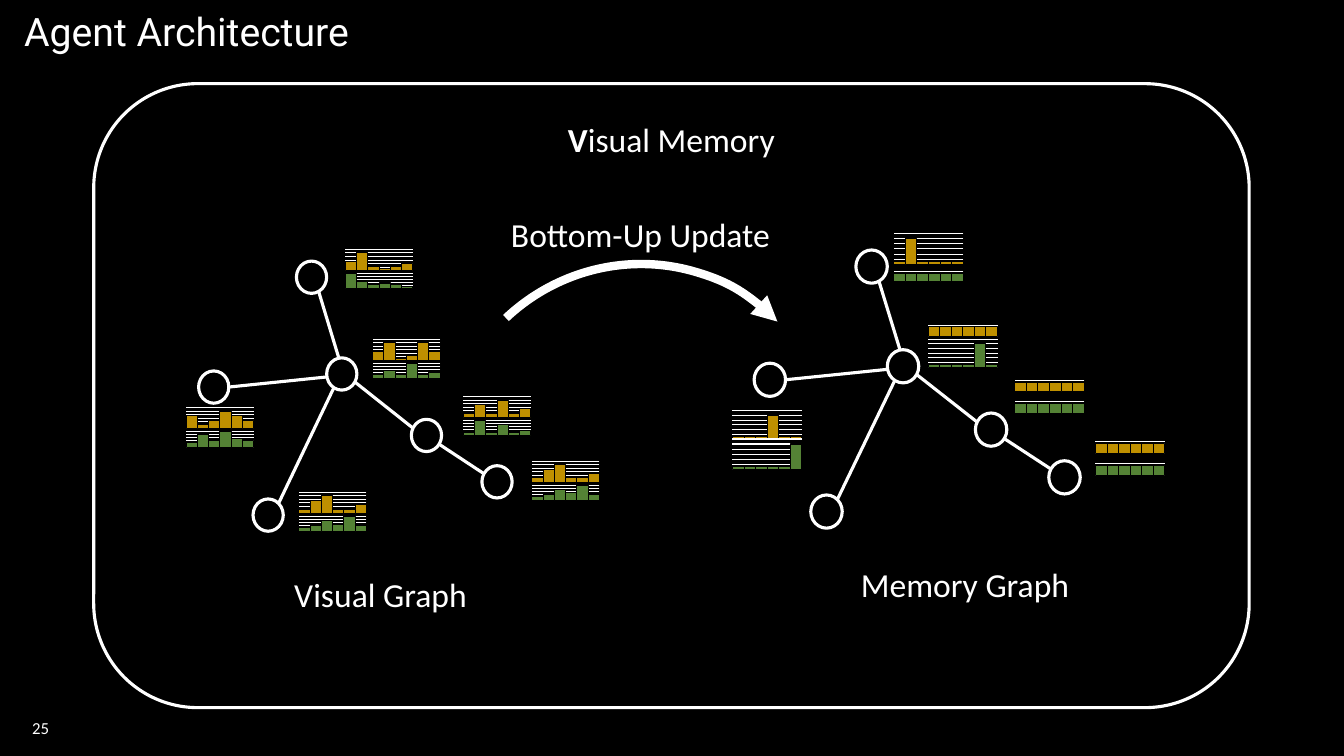
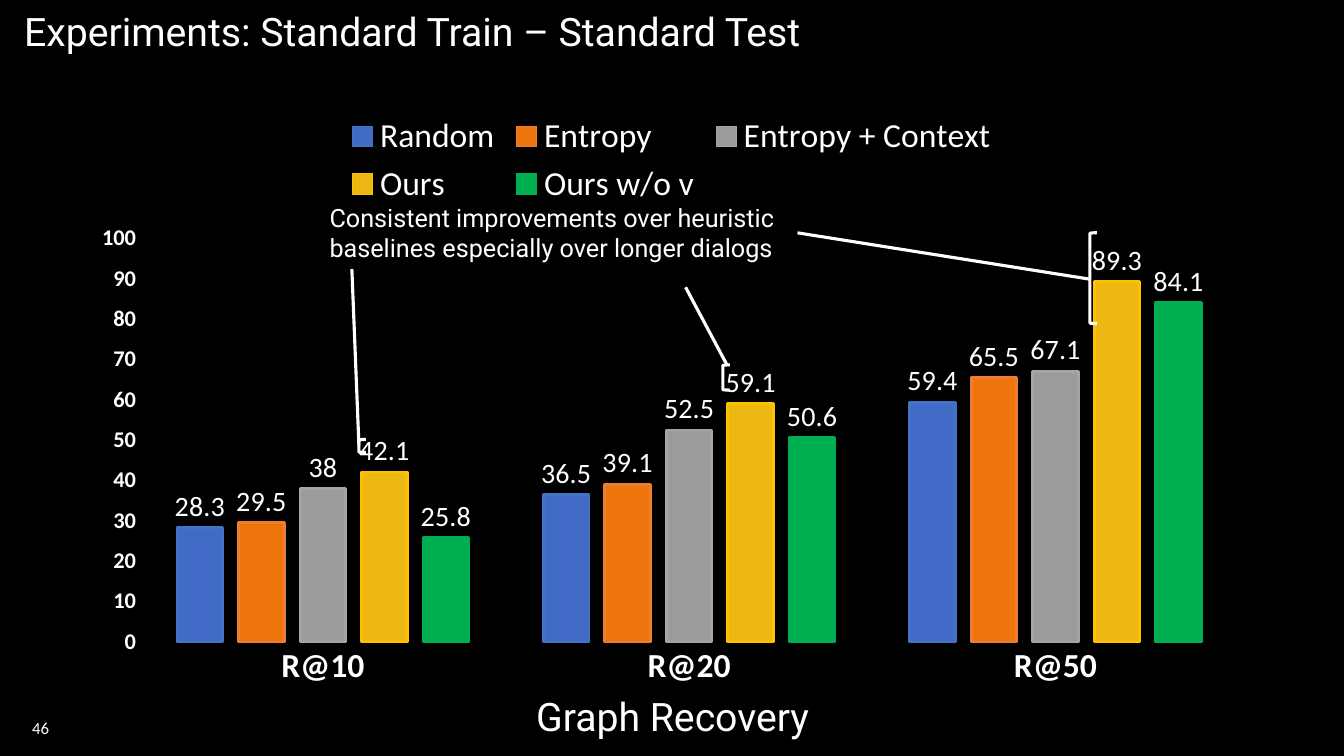
import lxml.etree
import pptx
import pptx.chart.data
import pptx.dml.color
import pptx.enum.chart
import pptx.enum.shapes
import pptx.enum.text
import pptx.oxml.ns
import pptx.util

Inches = pptx.util.Inches
Pt = pptx.util.Pt
qn = pptx.oxml.ns.qn
SHAPES = pptx.enum.shapes.MSO_SHAPE
ALIGN = pptx.enum.text.PP_ALIGN
ANCHOR = pptx.enum.text.MSO_ANCHOR

COLORS = {
    "black": "000000", "white": "FFFFFF", "gold": "BF9000", "green": "548235",
}
BODY_FONT = "Calibri"
TITLE_FONT = "Roboto"

NODES = [(0.97, 0), (2.11, 1.57), (0, 1.09), (2.81, 2.03), (0.54, 2.36), (1.27, 0.96)]
EDGES = [
    (1.19, 0.3, 1.39, 0.96), (1.27, 1.15, 0.3, 1.25), (1.34, 1.26, 0.79, 2.41),
    (1.55, 1.2, 2.13, 1.66), (2.83, 2.11, 2.39, 1.82),
]

FULL = (100,) * 6


def peak(position):
    return tuple(100 if index == position else 12 for index in range(1, 7))


VISUAL_BARS = [
    (3.42, 2.47, (50, 100, 25, 12, 25, 38), (100, 50, 25, 38, 25, 12)),
    (3.69, 3.36, (50, 100, 12, 25, 100, 50), (25, 50, 25, 100, 25, 38)),
    (4.59, 3.93, (25, 75, 25, 100, 25, 50), (25, 100, 25, 75, 25, 38)),
    (5.27, 4.57, (25, 75, 100, 25, 25, 50), (25, 38, 75, 50, 100, 38)),
    (2.96, 4.88, (25, 75, 100, 25, 25, 50), (25, 38, 75, 50, 100, 38)),
    (1.84, 4.04, (75, 25, 50, 100, 75, 50), (29, 86, 43, 100, 57, 43)),
]
MEMORY_BARS = [
    (10.06, (3.77, 0.12, FULL), (3.98, 0.13, FULL)),
    (10.86, (4.38, 0.12, FULL), (4.59, 0.13, FULL)),
    (7.26, (4.07, 0.29, peak(4)), (4.35, 0.31, peak(6))),
    (8.86, (2.31, 0.32, peak(2)), (2.69, 0.11, FULL)),
    (9.2, (3.22, 0.12, FULL), (3.36, 0.29, peak(5))),
]

RECALL = [
    ("Random", (28.3, 36.5, 59.4), "426AC7", "4472C4"),
    ("Entropy", (29.5, 39.1, 65.5), "EE750E", "ED7D31"),
    ("Entropy + Context", (38, 52.5, 67.1), "9B9B9B", "A5A5A5"),
    ("Ours", (42.1, 59.1, 89.3), "ECB811", "FFC000"),
    ("Ours w/o v", (25.8, 50.6, 84.1), "00B050", "00B050"),
]


def rgb(value):
    return pptx.dml.color.RGBColor.from_string(COLORS.get(value, value))


def inches(*lengths):
    return [Inches(length) for length in lengths]


def style_font(font, size, name=BODY_FONT, bold=None):
    font.size = Pt(size)
    font.name = name
    font.bold = bold
    font.color.rgb = rgb("white")


def set_line(line, width, color="white"):
    line.color.rgb = rgb(color)
    line.width = Pt(width)


def fill_text(frame, text, size, name=BODY_FONT, align=ALIGN.LEFT, anchor=ANCHOR.TOP, spacing=None):
    frame.word_wrap = True
    frame.auto_size = pptx.enum.text.MSO_AUTO_SIZE.NONE
    frame.vertical_anchor = anchor
    para = frame.paragraphs[0]
    para.text = text
    para.alignment = align
    para.line_spacing = spacing
    style_font(para.font, size, name)


def add_text(page, place, text, size, **options):
    box = page.shapes.add_textbox(*inches(*place))
    fill_text(box.text_frame, text, size, **options)


def add_page(deck, title, number):
    page = deck.slides.add_slide(deck.slide_layouts.get_by_name("Title Only"))
    heading = page.shapes.title
    heading.left, heading.top, heading.width, heading.height = inches(0.14, 0.22, 13.33, 0.24)
    fill_text(heading.text_frame, title, 28, TITLE_FONT, anchor=ANCHOR.MIDDLE, spacing=0.9)
    add_text(page, (0.22, 7.02, 3, 0.4), number, 12, anchor=ANCHOR.MIDDLE)
    return page


def add_outline(page, kind, place, width=2.25):
    shape = page.shapes.add_shape(kind, *inches(*place))
    shape.shadow.inherit = False
    shape.fill.background()
    set_line(shape.line, width)
    return shape


def add_line(page, ends):
    line = page.shapes.add_connector(pptx.enum.shapes.MSO_CONNECTOR.STRAIGHT, *inches(*ends))
    set_line(line.line, 2.25)
    lxml.etree.SubElement(line.element.spPr, qn("a:effectLst"))


def place_plot(chart, left, top, width, height):
    area = chart.element.chart.plotArea
    for old in area.findall(qn("c:layout")):
        area.remove(old)
    layout = lxml.etree.Element(qn("c:layout"))
    area.insert(0, layout)
    manual = lxml.etree.SubElement(layout, qn("c:manualLayout"))
    settings = [
        ("layoutTarget", "inner"), ("xMode", "edge"), ("yMode", "edge"),
        ("x", left), ("y", top), ("w", width), ("h", height),
    ]
    for tag, value in settings:
        lxml.etree.SubElement(manual, qn(f"c:{tag}")).set("val", str(value))


def add_columns(page, place, categories, rows, gap, overlap, line_width, plot_place):
    table = pptx.chart.data.CategoryChartData()
    table.categories = categories
    for name, values, *_ in rows:
        table.add_series(name, values)
    kind = pptx.enum.chart.XL_CHART_TYPE.COLUMN_CLUSTERED
    chart = page.shapes.add_chart(kind, *inches(*place), table).chart
    chart.has_title = False
    chart.has_legend = False
    style_font(chart.font, 10)
    plot = chart.plots[0]
    plot.vary_by_categories = False
    plot.gap_width = gap
    plot.overlap = overlap
    for series, (_, _, fill, edge) in zip(plot.series, rows):
        series.format.fill.solid()
        series.format.fill.fore_color.rgb = rgb(fill)
        set_line(series.format.line, line_width, edge)
    place_plot(chart, *plot_place)
    return chart


def add_mini_bars(page, place, values, color):
    rows = [("Series 1", values, color, "black")]
    chart = add_columns(page, place, list("123456"), rows, 0, 0, 0.75, (0, 0, 1, 1))
    chart.category_axis.visible = False
    chart.value_axis.visible = False
    chart.value_axis.has_major_gridlines = True
    set_line(chart.value_axis.major_gridlines.format.line, 0.75)


def add_graph(page, left, top, scale_x=1, scale_y=1):
    for x, y in NODES:
        place = (left + x * scale_x, top + y * scale_y, 0.3 * scale_x, 0.32 * scale_y)
        add_outline(page, SHAPES.OVAL, place)
    for x1, y1, x2, y2 in EDGES:
        add_line(page, (left + x1 * scale_x, top + y1 * scale_y,
                        left + x2 * scale_x, top + y2 * scale_y))


def add_memory_frame(page):
    frame = add_outline(page, SHAPES.ROUNDED_RECTANGLE, (0.93, 0.83, 11.46, 6.19))
    frame.fill.solid()
    frame.fill.fore_color.rgb = rgb("black")
    fill_text(frame.text_frame, "", 24, align=ALIGN.CENTER)
    para = frame.text_frame.paragraphs[0]
    for text, bold in (("V", True), ("isual Memory", False)):
        span = para.add_run()
        span.text = text
        style_font(span.font, 24, bold=bold)


def add_update_arrow(page):
    arc = add_outline(page, SHAPES.ARC, (4.38, 2.64, 3.87, 3.78), 6)
    arc.adjustments[0] = 162
    arc.adjustments[1] = 215.68
    arc.rotation = 316.7
    tail = lxml.etree.SubElement(arc.line._get_or_add_ln(), qn("a:tailEnd"))
    tail.set("type", "triangle")


def build_architecture(deck):
    page = add_page(deck, "Agent Architecture", "25")
    add_memory_frame(page)
    add_graph(page, 1.97, 2.59)
    add_graph(page, 7.48, 2.48, 1.04, 1.03)
    for left, top, gold, green in VISUAL_BARS:
        add_mini_bars(page, (left, top + 0.21, 0.68, 0.19), green, "green")
        add_mini_bars(page, (left, top, 0.68, 0.22), gold, "gold")
    for left, *pair in MEMORY_BARS:
        for (top, height, values), color in zip(pair, ("gold", "green")):
            add_mini_bars(page, (left, top, 0.7, height), values, color)
    add_update_arrow(page)
    add_text(page, (2.82, 5.64, 2.3, 0.5), "Visual Graph", 24)
    add_text(page, (8.44, 5.55, 2.5, 0.5), "Memory Graph", 24)
    add_text(page, (4.97, 2.07, 3, 0.5), "Bottom-Up Update", 24)


def add_recall_chart(page):
    chart = add_columns(page, (0.8, 1.01, 11.72, 5.89), ["R@10", "R@20", "R@50"],
                        RECALL, 164, -35, 2, (0.05, 0.23, 0.93, 0.68))
    chart.has_legend = True
    chart.legend.position = pptx.enum.chart.XL_LEGEND_POSITION.TOP
    chart.legend.include_in_layout = False
    style_font(chart.legend.font, 24)
    for axis, size in ((chart.category_axis, 24), (chart.value_axis, 16)):
        axis.has_major_gridlines = False
        axis.major_tick_mark = pptx.enum.chart.XL_TICK_MARK.NONE
        axis.format.line.fill.background()
        style_font(axis.tick_labels.font, size, bold=True)
    chart.value_axis.minimum_scale = 0
    chart.value_axis.maximum_scale = 100
    chart.value_axis.major_unit = 10
    for series in chart.plots[0].series:
        labels = series.data_labels
        labels.show_value = True
        labels.position = pptx.enum.chart.XL_LABEL_POSITION.OUTSIDE_END
        style_font(labels.font, 20)


def build_experiments(deck):
    page = add_page(deck, "Experiments: Standard Train – Standard Test", "46")
    add_recall_chart(page)
    for left, top, height in ((10.81, 2.31, 0.9), (7.17, 3.62, 0.25), (3.56, 4.36, 0.13)):
        add_outline(page, SHAPES.LEFT_BRACKET, (left, top, 0.07, height))
    add_text(page, (3.17, 1.96, 5.24, 0.71),
             "Consistent improvements over heuristic baselines especially over longer dialogs",
             18, name=TITLE_FONT)
    for ends in ((7.91, 2.31, 10.81, 2.77), (6.8, 2.85, 7.21, 3.62), (3.56, 4.42, 3.49, 2.67)):
        add_line(page, ends)
    add_text(page, (4.46, 6.57, 4.42, 1.12), "Graph Recovery", 28, name=TITLE_FONT,
             align=ALIGN.CENTER, anchor=ANCHOR.MIDDLE, spacing=0.9)


def main():
    deck = pptx.Presentation()
    deck.slide_width, deck.slide_height = inches(13.33, 7.5)
    background = deck.slide_master.background.fill
    background.solid()
    background.fore_color.rgb = rgb("black")
    build_architecture(deck)
    build_experiments(deck)
    deck.save("out.pptx")


if __name__ == "__main__":
    main()
